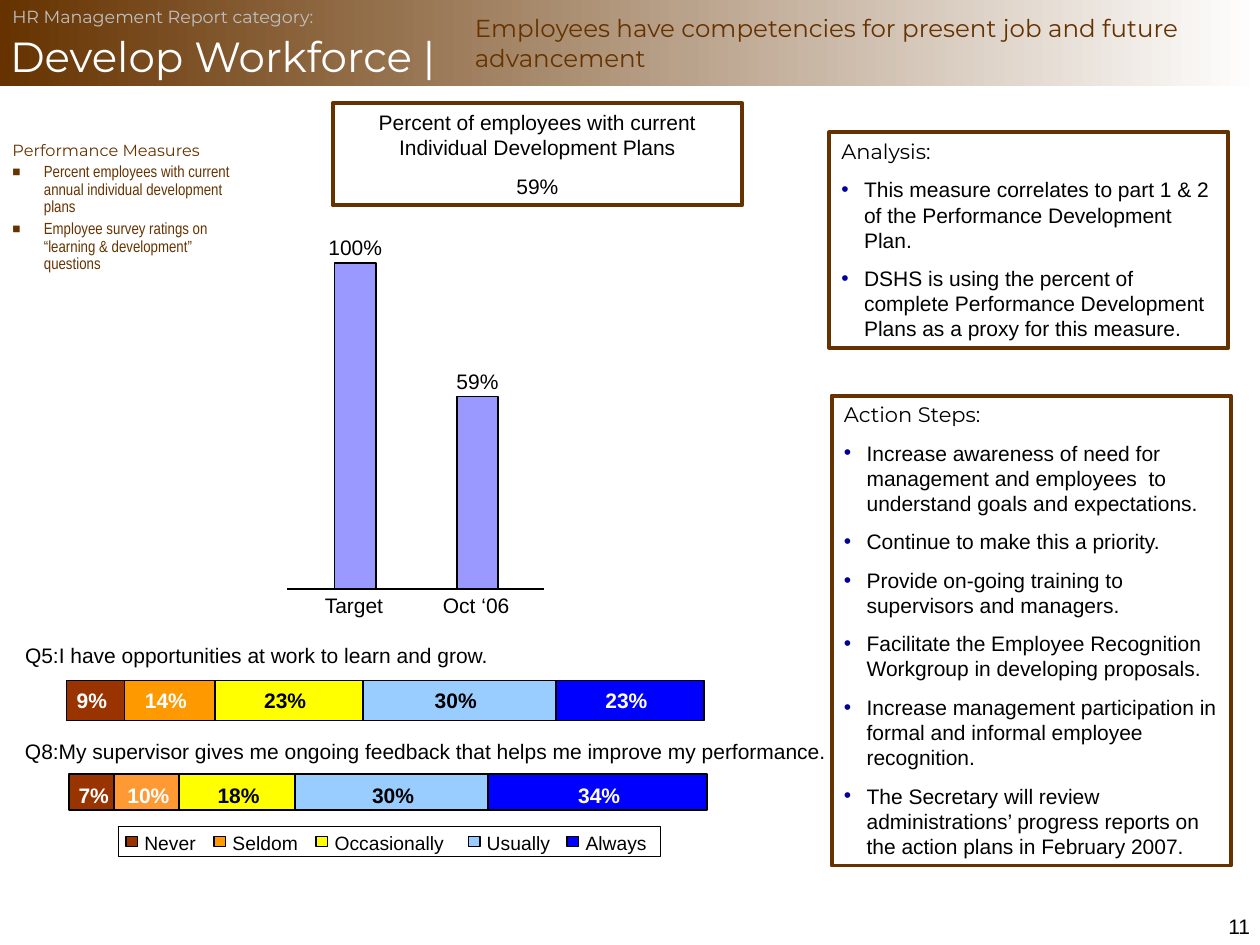
from itertools import accumulate

from lxml import etree
from pptx import Presentation
from pptx.dml.color import RGBColor
from pptx.enum.shapes import MSO_CONNECTOR, MSO_SHAPE
from pptx.enum.text import MSO_ANCHOR, MSO_AUTO_SIZE, PP_ALIGN
from pptx.oxml.ns import qn
from pptx.util import Inches, Pt

RECTANGLE = MSO_SHAPE.RECTANGLE
STRAIGHT = MSO_CONNECTOR.STRAIGHT
TOP, MIDDLE, BOTTOM = MSO_ANCHOR.TOP, MSO_ANCHOR.MIDDLE, MSO_ANCHOR.BOTTOM
NO_FIT = MSO_AUTO_SIZE.NONE
LEFT, CENTER, RIGHT = PP_ALIGN.LEFT, PP_ALIGN.CENTER, PP_ALIGN.RIGHT

BROWN = RGBColor(0x66, 0x33, 0x00)
RUST = RGBColor(0x99, 0x33, 0x00)
ORANGE = RGBColor(0xFF, 0x99, 0x00)
LIGHT_ORANGE = RGBColor(0xFF, 0x99, 0x33)
YELLOW = RGBColor(0xFF, 0xFF, 0x00)
SKY = RGBColor(0x99, 0xCC, 0xFF)
BLUE = RGBColor(0x00, 0x00, 0xFF)
NAVY = RGBColor(0x00, 0x00, 0x99)
LAVENDER = RGBColor(0x99, 0x99, 0xFF)
SILVER = RGBColor(0xC0, 0xC0, 0xC0)
BLACK = RGBColor(0x00, 0x00, 0x00)
WHITE = RGBColor(0xFF, 0xFF, 0xFF)

HEADING, BODY, NARROW = "Montserrat", "Arial", "Arial Narrow"
SCALE = [RUST, ORANGE, YELLOW, SKY, BLUE]
LABEL_COLORS = [WHITE, WHITE, BLACK, BLACK, WHITE]


class SlideBuilder:
    column = Inches(0.1)
    row = Inches(0.1)
    padding = (0.1, 0.05)

    def __init__(self, slide):
        self.slide = slide

    def area(self, left, top, width, height):
        return (round(left * self.column), round(top * self.row),
                round(width * self.column), round(height * self.row))

    def rectangle(self, place, fill=None, line=None, weight=1):
        shape = self.slide.shapes.add_shape(RECTANGLE, *self.area(*place))
        shape.shadow.inherit = False
        if fill is None:
            shape.fill.background()
        else:
            shape.fill.solid()
            shape.fill.fore_color.rgb = fill
        if line is None:
            shape.line.fill.background()
        else:
            shape.line.color.rgb = line
            shape.line.width = Pt(weight)
        return shape

    def gradient_band(self, place, start, end):
        shape = self.rectangle(place)
        shape.fill.gradient()
        shape.fill.gradient_angle = 180
        for stop, color in zip(shape.fill.gradient_stops, (start, end)):
            stop.color.rgb = color
        return shape

    def frame(self, shape, anchor=TOP, padding=padding, wrap=True):
        side, end = map(Inches, padding)
        formats = {"margin_left": side, "margin_right": side, "margin_top": end,
                   "margin_bottom": end, "vertical_anchor": anchor,
                   "word_wrap": wrap, "auto_size": NO_FIT}
        for name, value in formats.items():
            setattr(shape.text_frame, name, value)
        return shape.text_frame

    def paragraph(self, frame, text, size=12, font=BODY, color=BLACK, bold=False,
                  alignment=LEFT, before=0, spacing=1.0, bullet=None):
        first = not frame.paragraphs[0].runs
        paragraph = frame.paragraphs[0] if first else frame.add_paragraph()
        if bullet:
            self.bullet(paragraph, *bullet)
        formats = {"alignment": alignment, "line_spacing": spacing,
                   "space_before": Pt(0 if first else before)}
        for name, value in formats.items():
            setattr(paragraph, name, value)
        run = paragraph.add_run()
        run.text = text
        for name, value in {"size": Pt(size), "name": font, "bold": bold}.items():
            setattr(run.font, name, value)
        run.font.color.rgb = color

    def bullet(self, paragraph, mark, color, percent, indent):
        properties = paragraph._p.get_or_add_pPr()
        properties.set("marL", str(Inches(indent)))
        properties.set("indent", str(-Inches(indent)))
        holder = etree.SubElement(properties, qn("a:buClr"))
        etree.SubElement(holder, qn("a:srgbClr"), val=str(color))
        etree.SubElement(properties, qn("a:buSzPct"), val=str(percent * 1000))
        etree.SubElement(properties, qn("a:buFont"), typeface=BODY)
        etree.SubElement(properties, qn("a:buChar"), char=mark)

    def text(self, place, text, anchor=TOP, **style):
        shape = self.slide.shapes.add_textbox(*self.area(*place))
        frame = self.frame(shape, anchor)
        self.paragraph(frame, text, **style)
        return frame

    def label(self, center, top, width, text, **style):
        place = (center - width / 2, top, width, 2)
        shape = self.slide.shapes.add_textbox(*self.area(*place))
        frame = self.frame(shape, padding=(0, 0), wrap=False)
        self.paragraph(frame, text, alignment=CENTER, **style)

    def panel(self, place, heading, points):
        frame = self.frame(self.rectangle(place, WHITE, BROWN, 2.25))
        self.paragraph(frame, heading, font=HEADING)
        for point in points:
            self.paragraph(frame, point, before=7.5, bullet=("•", NAVY, 100, 0.18))

    def line(self, left, right, top):
        start_x, start_y, length, _ = self.area(left, top, right - left, 0)
        connector = self.slide.shapes.add_connector(
            STRAIGHT, start_x, start_y, start_x + length, start_y)
        connector.line.color.rgb = BLACK
        connector.line.width = Pt(0.75)
        etree.SubElement(connector._element.spPr, qn("a:effectLst"))

    def stacked_bar(self, left, top, height, values, colors, weight, label_top, shift):
        unit = 50.6 / sum(values)
        starts = [left + unit * total for total in accumulate(values, initial=0)]
        for start, value, color in zip(starts, values, colors):
            self.rectangle((start, top, unit * value, height), color, BLACK, weight)
        for start, value, color in zip(starts, values, LABEL_COLORS):
            center = start + unit * value / 2 + shift
            self.label(center, label_top, 2.4 if value < 10 else 3.3,
                       f"{value}%", color=color, bold=True)

    def column_chart(self, baseline, columns):
        for name, center, value in columns:
            height = 0.259 * value
            top = baseline - height
            self.rectangle((center - 1.65, top, 3.3, height), LAVENDER, BLACK, 1.13)
            self.label(center, top - 2.25, 4.3 if value > 99 else 3.3, f"{value}%")
            self.label(center - 0.1, baseline + 0.25, 5, name)
        self.line(22.8, 43.2, baseline)

    def legend(self, place, entries):
        self.rectangle(place, WHITE, BLACK, 0)
        for (name, left, width), color in zip(entries, SCALE):
            self.rectangle((left, 66.4, 0.9, 0.8), color, BLACK, 0.88)
            self.label(left + 1.45 + width / 2, 66, width, name, size=11)


def main():
    presentation = Presentation()
    presentation.slide_width, presentation.slide_height = Inches(10), Inches(7.5)
    builder = SlideBuilder(presentation.slides.add_slide(presentation.slide_layouts[6]))

    band = builder.gradient_band((0, 0, 100, 6.8), WHITE, BROWN)
    builder.paragraph(builder.frame(band, padding=(0.08, 0.04)), "Develop Workforce |",
                      size=24, font=HEADING, color=WHITE, spacing=1.5)
    builder.text((0, 0, 30, 2.7), "HR Management Report category:",
                 size=10, font=HEADING, color=SILVER)
    builder.text((36.7, 0, 63.3, 6.8),
                 "Employees have competencies for present job and future advancement",
                 anchor=MIDDLE, size=14, font=HEADING, color=BROWN)

    measure_style = {"size": 9.2, "color": BROWN, "spacing": 0.9}
    measures = builder.text((0, 10.8, 20.8, 12.5), "Performance Measures",
                            font=HEADING, **measure_style)
    for measure in ("Percent employees with current annual individual development plans",
                    "Employee survey ratings on “learning & development” questions"):
        builder.paragraph(measures, measure, font=NARROW, before=2.5,
                          bullet=("■", BROWN, 85, 0.25), **measure_style)

    summary = builder.frame(builder.rectangle((26.4, 8.2, 32.5, 8.1), None, BROWN, 2.25))
    for line in ("Percent of employees with current Individual Development Plans", "59%"):
        builder.paragraph(summary, line, alignment=CENTER, before=7.5)

    builder.panel((65.8, 10.5, 31.7, 17.1), "Analysis:", [
        "This measure correlates to part 1 & 2 of the Performance Development Plan.",
        "DSHS is using the percent of complete Performance Development Plans as a proxy "
        "for this measure."])
    builder.panel((66, 31.4, 31.7, 37.3), "Action Steps:", [
        "Increase awareness of need for management and employees  to understand goals "
        "and expectations.",
        "Continue to make this a priority.",
        "Provide on-going training to supervisors and managers.",
        "Facilitate the Employee Recognition Workgroup in developing proposals.",
        "Increase management participation in formal and informal employee recognition.",
        "The Secretary will review administrations’ progress reports on the action plans "
        "in February 2007."])

    builder.column_chart(46.75, [("Target", 28.2, 100), ("Oct ‘06", 37.9, 59)])

    builder.text((1, 49.4, 55.8, 4.1), "Q5:I have opportunities at work to learn and grow.",
                 anchor=BOTTOM)
    builder.stacked_bar(5.3, 54, 3.2, [9, 14, 23, 30, 23], SCALE, 0.88, 54.6, -0.3)
    builder.text((1, 57.1, 65.7, 4), "Q8:My supervisor gives me ongoing feedback that "
                 "helps me improve my performance.", anchor=BOTTOM)
    builder.stacked_bar(5.5, 61.4, 2.9, [7, 10, 18, 30, 34],
                        [RUST, LIGHT_ORANGE, YELLOW, SKY, BLUE], 1, 62.1, 0.15)
    builder.legend((9.4, 65.6, 43, 2.4), [
        ("Never", 10, 4.1), ("Seldom", 17, 5.2), ("Occasionally", 25.1, 8.7),
        ("Usually", 37.2, 5), ("Always", 45, 4.9)])

    builder.text((76.9, 72, 23.3, 5.2), "11", alignment=RIGHT)
    presentation.save("out.pptx")


if __name__ == "__main__":
    main()
